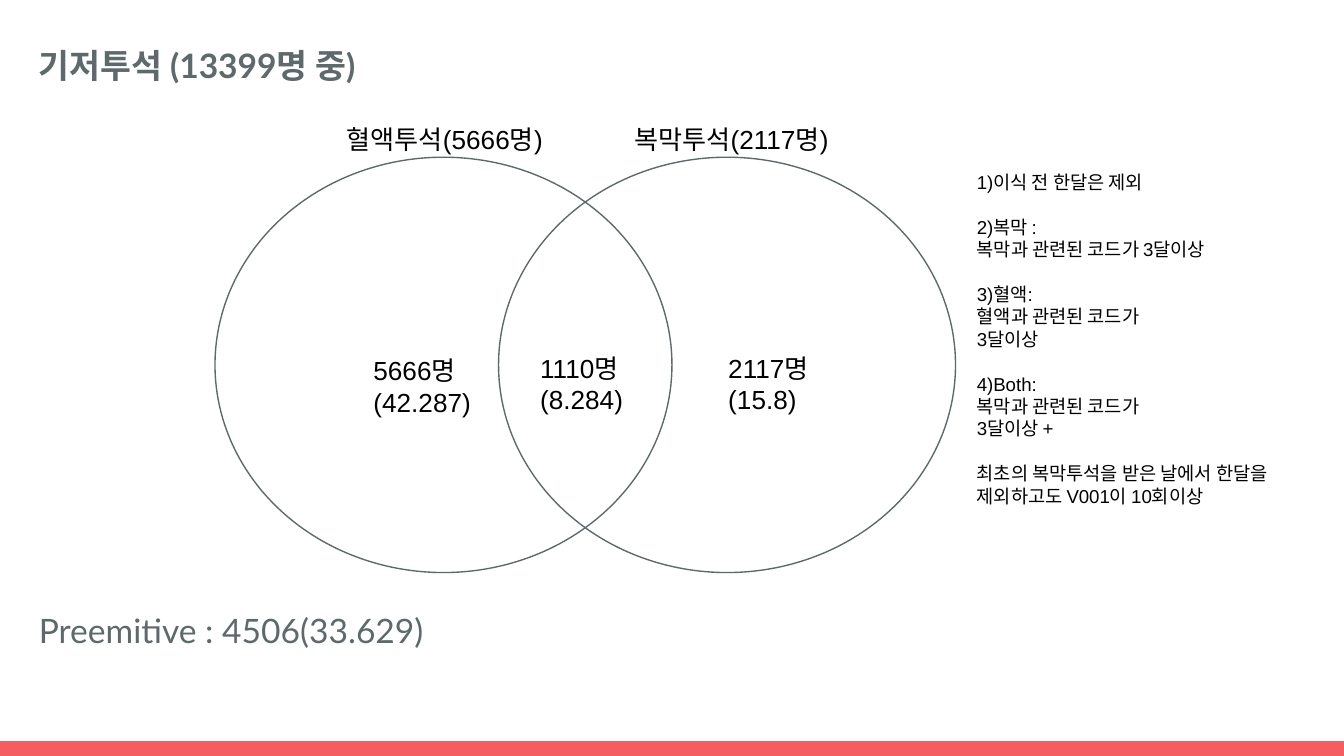
from pptx import Presentation
from pptx.dml.color import RGBColor
from pptx.enum.shapes import MSO_SHAPE
from pptx.enum.text import MSO_ANCHOR, PP_ALIGN
from pptx.util import Inches, Pt

OVAL = MSO_SHAPE.OVAL
RECTANGLE = MSO_SHAPE.RECTANGLE
TOP = MSO_ANCHOR.TOP
LEFT = PP_ALIGN.LEFT
SLATE = "5E696C"
CORAL = "F55E61"
BLACK = "000000"
SLIDE_WIDTH = 10
SLIDE_HEIGHT = SLIDE_WIDTH * 9 / 16

NOTES = [
    ["1)이식 전 한달은 제외"],
    ["2)복막 :", "복막과 관련된 코드가 3달이상"],
    ["3)혈액:", "혈액과 관련된 코드가", "3달이상"],
    ["4)Both:", "복막과 관련된 코드가", "3달이상 +"],
    ["최초의 복막투석을 받은 날에서 한달을 제외하고도 V001이 10회이상"],
]


def color(hex_value):
    """Return the RGB colour for a hex string."""
    return RGBColor.from_string(hex_value)


def add_text(slide, box, groups, size=14, font="Arial", fill=BLACK, bold=False,
             line_spacing=1.0, group_gap=0):
    """Add a text box of paragraph groups, with a gap in points between groups."""
    shape = slide.shapes.add_textbox(*map(Inches, box))
    frame = shape.text_frame
    frame.word_wrap = True
    frame.vertical_anchor = TOP
    frame.margin_left = frame.margin_right = Inches(0.1)
    frame.margin_top = frame.margin_bottom = Inches(0.1)
    paragraph = frame.paragraphs[0]
    for group_index, group in enumerate(groups):
        for line_index, text in enumerate(group):
            if group_index or line_index:
                paragraph = frame.add_paragraph()
            paragraph.alignment = LEFT
            paragraph.line_spacing = line_spacing
            paragraph.space_before = Pt(group_gap if group_index and not line_index else 0)
            run = paragraph.add_run()
            run.text = text
            run.font.size = Pt(size)
            run.font.name = font
            run.font.bold = bold
            run.font.color.rgb = color(fill)


def add_shape(slide, kind, box, fill=None, line=None):
    """Add a preset shape with an optional fill and outline."""
    shape = slide.shapes.add_shape(kind, *map(Inches, box))
    shape.shadow.inherit = False
    if fill:
        shape.fill.solid()
        shape.fill.fore_color.rgb = color(fill)
    else:
        shape.fill.background()
    if line:
        shape.line.color.rgb = color(line)
        shape.line.width = Pt(0.75)
    else:
        shape.line.fill.background()


def add_venn(slide, left, top, width, height):
    """Draw two overlapping circles with their labels and counts."""
    circle_width = 3.4
    for circle_left in (left, left + width - circle_width):
        add_shape(slide, OVAL, (circle_left, top, circle_width, height), line=SLATE)
    for offset, label in ((0.88, "혈액투석(5666명)"), (3.02, "복막투석(2117명)")):
        add_text(slide, (left + offset, top - 0.35, 2.04, 0.35), [[label]])
    counts = (
        (1.08, 1.37, 1.25, 0.35, "5666명", "(42.287)"),
        (2.32, 1.35, 1.02, 0.44, "1110명", "(8.284)"),
        (3.72, 1.35, 1.25, 0.42, "2117명", "(15.8)"),
    )
    for offset, drop, count_width, count_height, count, share in counts:
        add_text(slide, (left + offset, top + drop, count_width, count_height),
                 [[count, share]])


def add_frame(slide, left, top, width, height):
    """Place the bottom bar, the heading and the closing line."""
    add_shape(slide, RECTANGLE, (left, top + height - 0.11, width, 0.11), fill=CORAL)
    add_text(slide, (left + 0.19, top + 0.19, width - 0.68, 5.1),
             [["기저투석 (13399명 중)"], ["Preemitive : 4506(33.629)"]],
             size=18, font="Lato", fill=SLATE, line_spacing=1.15, group_gap=281)
    heading, closing = slide.shapes[-1].text_frame.paragraphs
    heading.runs[0].font.bold = True
    closing.line_spacing = 1.0


def main():
    """Build and save the dialysis slide."""
    presentation = Presentation()
    presentation.slide_width = Inches(SLIDE_WIDTH)
    presentation.slide_height = Inches(SLIDE_HEIGHT)
    slide = presentation.slides.add_slide(presentation.slide_layouts[6])
    add_frame(slide, 0, 0, SLIDE_WIDTH, SLIDE_HEIGHT)
    add_venn(slide, 1.6, 1.17, 5.51, 3.09)
    add_text(slide, (7.17, 1.17, 2.83, 4), NOTES, size=10, group_gap=12)
    presentation.save("out.pptx")


if __name__ == "__main__":
    main()
